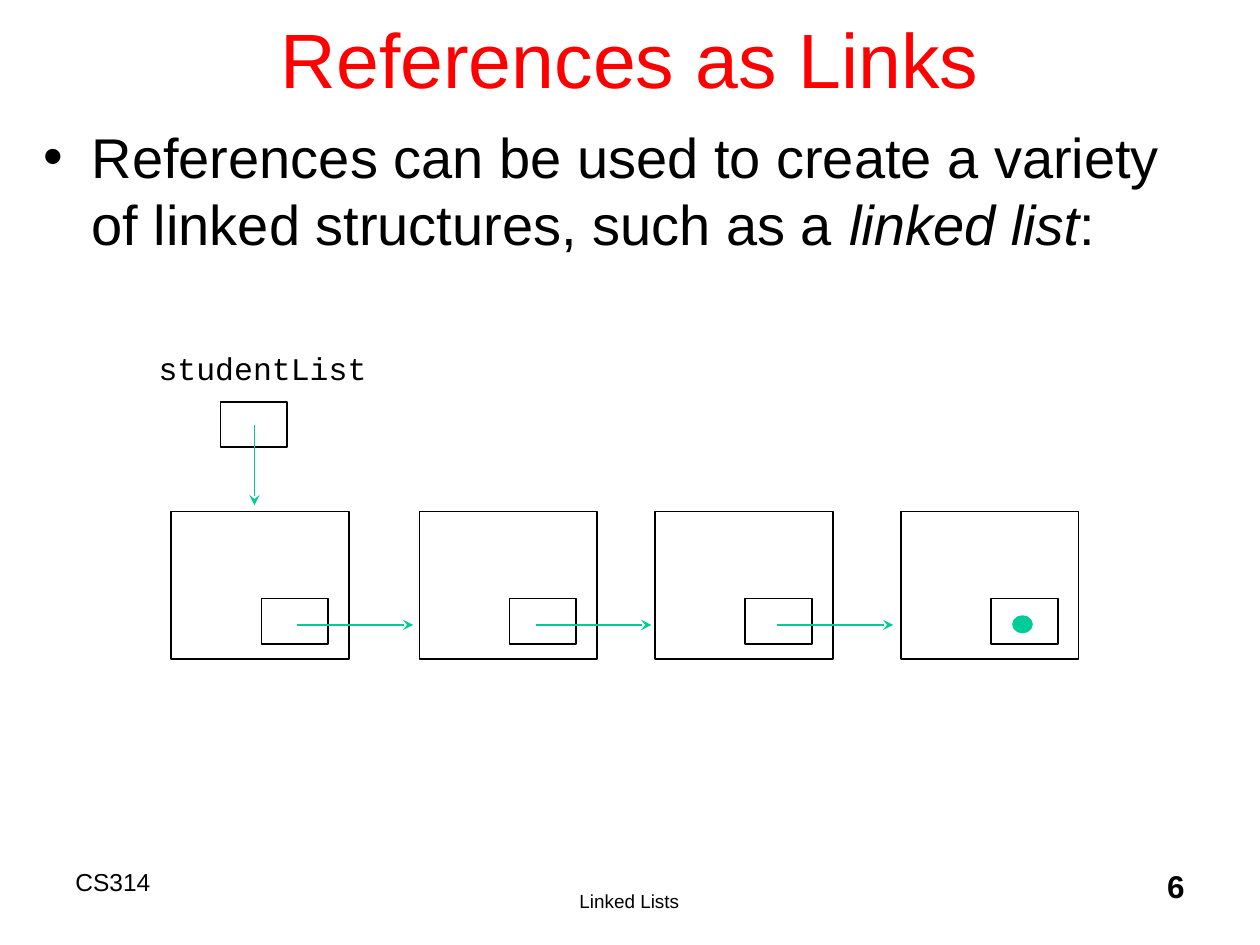
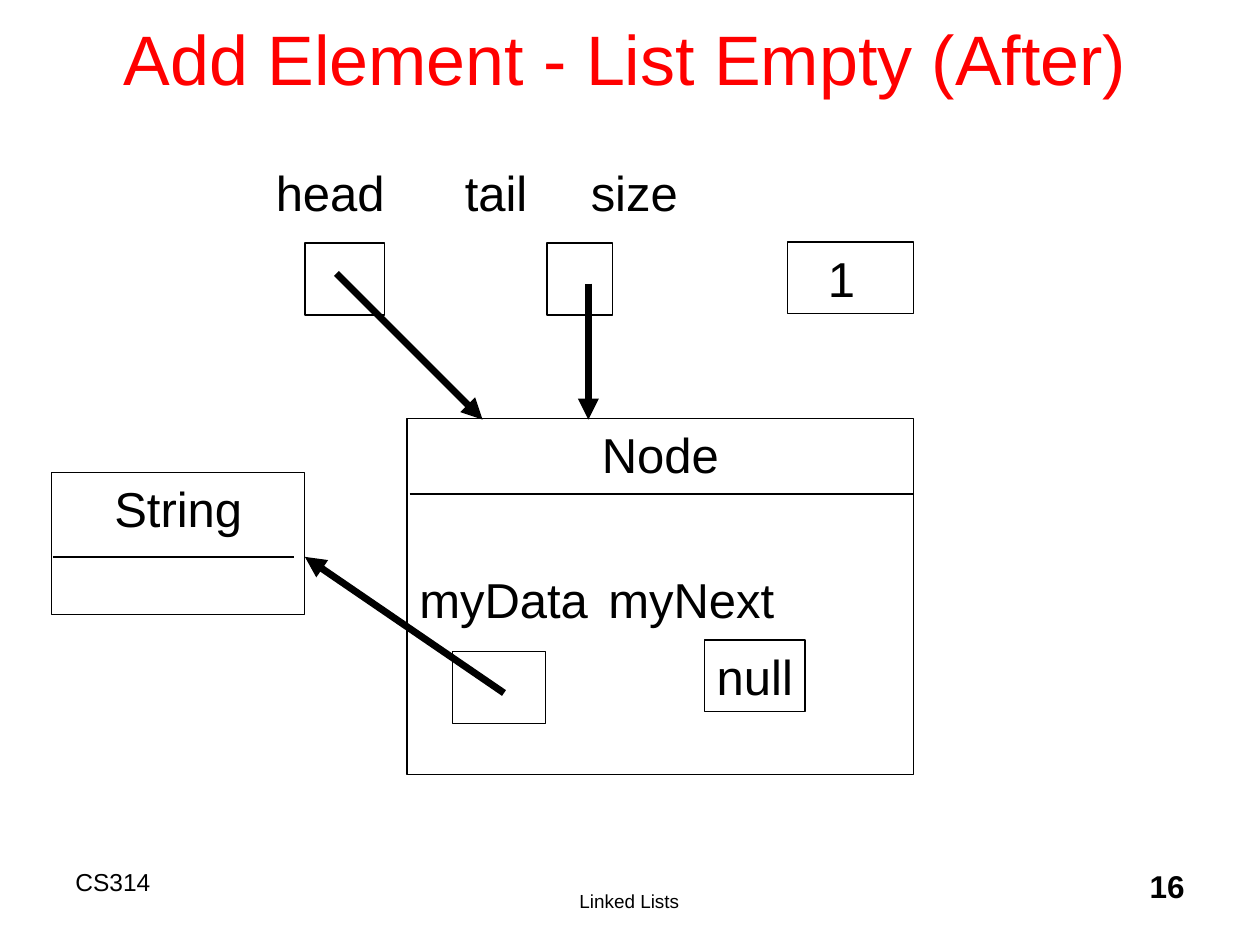
from lxml.etree import SubElement
from pptx import Presentation
from pptx.dml.color import RGBColor
from pptx.enum.shapes import MSO_CONNECTOR, MSO_SHAPE
from pptx.enum.text import MSO_ANCHOR, PP_ALIGN
from pptx.oxml.ns import qn
from pptx.util import Inches, Pt

COLS, ROWS = 100, 75
BLACK, RED, GREEN = "000000", "FF0000", "00CC99"
MID, RIGHT = PP_ALIGN.CENTER, PP_ALIGN.RIGHT


def tint(code):
    return RGBColor.from_string(code)


def put(item, form):
    for name, value in form.items():
        setattr(item, name, value)


class Deck:
    face = "Arial"
    frame = dict(margin_left=Inches(0.1), margin_right=Inches(0.1),
                 margin_top=Inches(0.05), margin_bottom=Inches(0.05),
                 vertical_anchor=MSO_ANCHOR.TOP, word_wrap=True)

    def __init__(self):
        self.show = Presentation()
        put(self.show, dict(slide_width=Inches(10), slide_height=Inches(7.5)))
        self.slide = None

    def spot(self, col, row):
        return (round(self.show.slide_width * col / COLS),
                round(self.show.slide_height * row / ROWS))

    def area(self, spot):
        return self.spot(*spot[:2]) + self.spot(*spot[2:])

    def page(self, title, num, size, spot):
        self.slide = self.show.slides.add_slide(self.show.slide_layouts[6])
        self.label(title, spot, size, RED, align=MID,
                   frame=dict(vertical_anchor=MSO_ANCHOR.MIDDLE))
        self.label("CS314", (5, 68.3, 25, 5), 14)
        self.label("Linked Lists", (30.8, 70.1, 38.3, 3.2), 10.8, align=MID)
        self.label(str(num), (74.2, 68.3, 20.8, 5), 18, align=RIGHT, bold=True)

    def run(self, para, text, size, color=BLACK, face=None, **font):
        run = para.add_run()
        run.text = text
        put(run.font, dict(size=Pt(size), name=face or self.face, **font))
        run.font.color.rgb = tint(color)

    def line(self, para, text, size, color=BLACK, align=PP_ALIGN.LEFT,
             gap=0, **font):
        put(para, dict(alignment=align, space_before=Pt(gap)))
        self.run(para, text, size, color, **font)

    def label(self, text, spot, size, color=BLACK, frame=None, **form):
        box = self.slide.shapes.add_textbox(*self.area(spot)).text_frame
        put(box, self.frame | (frame or {}))
        self.line(box.paragraphs[0], text, size, color, **form)

    def point(self, parts, spot, size):
        box = self.slide.shapes.add_textbox(*self.area(spot)).text_frame
        put(box, self.frame)
        para = box.paragraphs[0]
        para.space_before = Pt(8)
        for text, slant in parts:
            self.run(para, text, size, italic=slant)
        props = para._p.get_or_add_pPr()
        props.set("marL", str(Inches(0.38)))
        props.set("indent", str(-Inches(0.38)))
        SubElement(props, qn("a:buFont"), typeface=self.face)
        SubElement(props, qn("a:buChar"), char="•")

    def box(self, spot, width=0.75, lines=(), frame=None):
        box = self.shape(MSO_SHAPE.RECTANGLE, spot, BLACK, width)
        box.fill.background()
        put(box.text_frame, self.frame | (frame or {}))
        for num, (text, align, gap) in enumerate(lines):
            text_frame = box.text_frame
            para = text_frame.add_paragraph() if num else text_frame.paragraphs[0]
            self.line(para, text, 28, align=align, gap=gap)

    def dot(self, spot, color):
        dot = self.shape(MSO_SHAPE.OVAL, spot, color, 1)
        dot.fill.solid()
        dot.fill.fore_color.rgb = tint(color)

    def shape(self, kind, spot, color, width):
        shape = self.slide.shapes.add_shape(kind, *self.area(spot))
        shape.shadow.inherit = False
        shape.line.color.rgb = tint(color)
        shape.line.width = Pt(width)
        return shape

    def link(self, start, end, color=BLACK, width=0.75, tip=None):
        link = self.slide.shapes.add_connector(
            MSO_CONNECTOR.STRAIGHT, *self.spot(*start), *self.spot(*end))
        link.line.color.rgb = tint(color)
        link.line.width = Pt(width)
        if tip:
            SubElement(link.line._get_or_add_ln(), qn("a:tailEnd"), type=tip)
        SubElement(link._element.spPr, qn("a:effectLst"))


def links(deck):
    deck.page("References as Links", 6, 44, (7.5, -1.7, 85, 12.5))
    deck.point([("References can be used to create a variety of linked "
                 "structures, such as a ", False),
                ("linked list", True), (":", False)], (2.5, 9.2, 95, 60), 32)
    deck.label("studentList", (11.6, 27.2, 18.5, 4), 18, face="Courier New",
               frame=dict(word_wrap=False))
    deck.box((17.5, 31.9, 5.3, 3.6), 1)
    for left in (13.6, 33.3, 52, 71.5):
        deck.box((left, 40.6, 14.1, 11.7), 1)
        deck.box((left + 7.15, 47.5, 5.3, 3.6), 1)
    arrow = dict(color=GREEN, width=1, tip="stealth")
    for left in (23.6, 42.5, 61.7):
        deck.link((left, 49.6), (left + 9.2, 49.6), **arrow)
    deck.link((20.2, 33.7), (20.2, 40.1), **arrow)
    deck.dot((80.4, 48.9, 1.5, 1.3), GREEN)


def after(deck):
    left = PP_ALIGN.LEFT
    deck.page("Add Element - List Empty (After)", 16, 40,
              (4.2, -1.7, 90.8, 12.5))
    deck.label("head\t\ttail\t\tsize", (20.9, 12.4, 48.9, 5.7), 28, gap=7,
               frame=dict(word_wrap=False))
    deck.box((24.2, 19.3, 6.3, 5.7))
    deck.box((43.4, 19.3, 5.2, 5.7))
    deck.box((62.5, 19.2, 10, 5.7), lines=[("1", left, 7)],
             frame=dict(margin_left=Inches(0.32)))
    deck.box((4.1, 37.5, 20.1, 11.3), lines=[("String", MID, 7)])
    deck.link((4.2, 44.2), (23.3, 44.2))
    deck.box((32.3, 33.2, 40.2, 28.3),
             lines=[("Node", MID, 7), ("myData\tmyNext", left, 49)])
    deck.link((32.5, 39.2), (72.5, 39.2))
    deck.box((55.9, 50.8, 8, 5.7), lines=[("null", left, 7)],
             frame=dict(word_wrap=False))
    deck.box((35.9, 51.7, 7.4, 5.7))
    for start, end in (((40, 55), (24.2, 44.2)),
                       ((26.7, 21.7), (38.3, 33.3)),
                       ((46.7, 22.5), (46.7, 33.3))):
        deck.link(start, end, width=4, tip="triangle")


def main():
    deck = Deck()
    links(deck)
    after(deck)
    deck.show.save("out.pptx")


if __name__ == "__main__":
    main()
